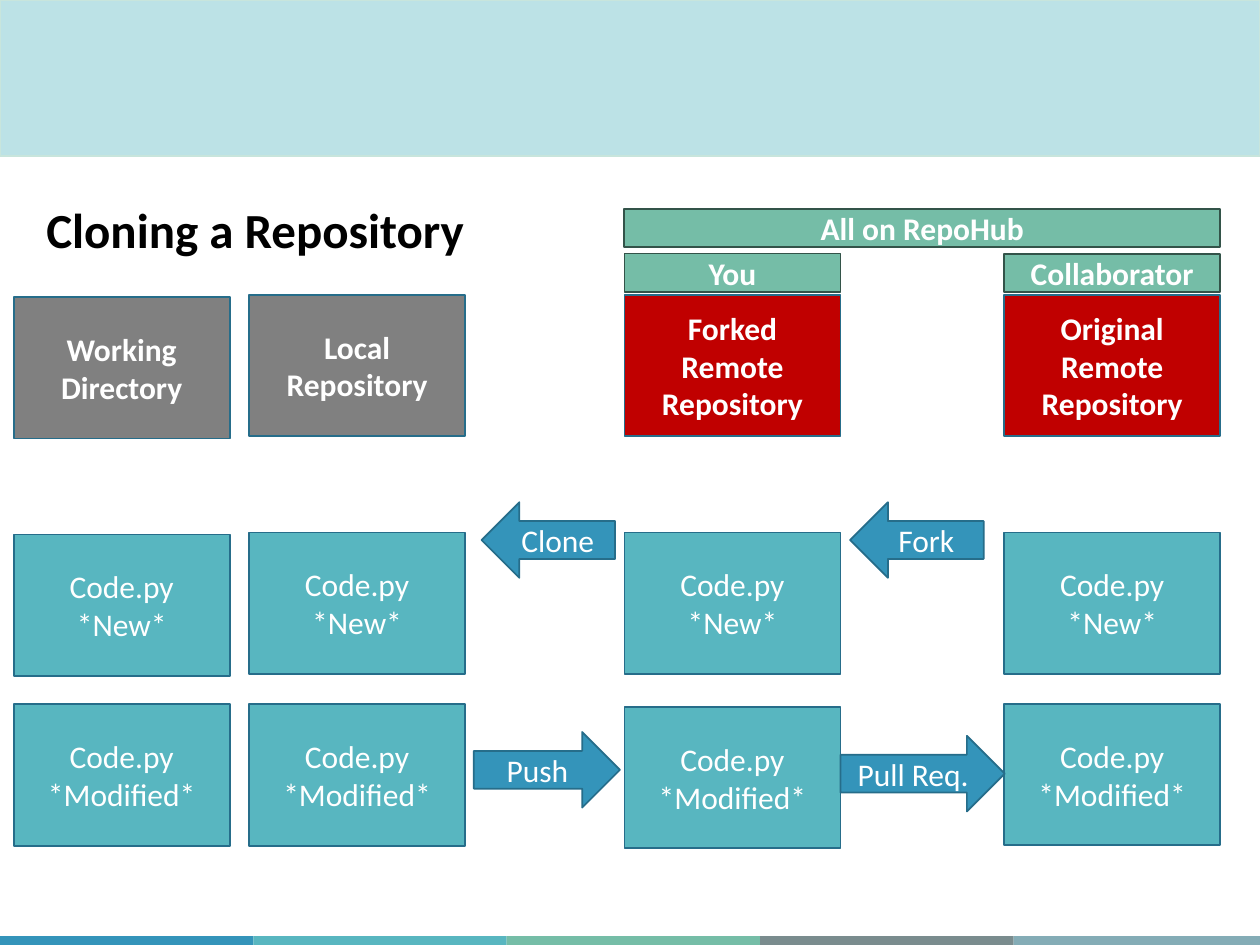
from dataclasses import dataclass

from pptx import Presentation
from pptx.dml.color import RGBColor
from pptx.enum.shapes import MSO_SHAPE
from pptx.enum.text import MSO_ANCHOR, PP_ALIGN
from pptx.util import Pt

RECTANGLE = MSO_SHAPE.RECTANGLE
LEFT_ARROW = MSO_SHAPE.LEFT_ARROW
RIGHT_ARROW = MSO_SHAPE.RIGHT_ARROW
MIDDLE = MSO_ANCHOR.MIDDLE
CENTER = PP_ALIGN.CENTER


@dataclass(frozen=True)
class Theme:
    """Colours, font and type sizes of the deck."""
    font: str = "Calibri"
    title_size: int = 28
    label_size: int = 18
    black: str = "000000"
    white: str = "FFFFFF"
    banner: str = "BCE2E6"
    banner_line: str = "C8E5DC"
    local: str = "808080"
    remote: str = "C00000"
    file: str = "58B6C0"
    arrow: str = "3494BA"
    edge: str = "266D8A"
    owner: str = "75BDA7"
    owner_edge: str = "335349"
    strip: tuple = ("3494BA", "58B6C0", "75BDA7", "7A8C8E", "84ACB6")


THEME = Theme()
BOX_WIDTH, BOX_HEIGHT = 123.5, 80.8
FILE_STATES = ("*New*", "*Modified*")

COLUMNS = (
    (7.8, (169.8, 305.5, 402.5), ("Working", "Directory"), THEME.local),
    (142.3, (168.5, 304.3, 402.5), ("Local Repository",), THEME.local),
    (356.8, (168.5, 304.3, 404), ("Forked Remote Repository",), THEME.remote),
    (573.8, (168.5, 304.3, 402.2), ("Original Remote Repository",), THEME.remote),
)
OWNERS = (
    ("All on RepoHub", (356.8, 119.4, 340.5, 21.8)),
    ("You", (356.8, 144.9, BOX_WIDTH, 21.8)),
    ("Collaborator", (573.8, 145.2, BOX_WIDTH, 21.8)),
)
ACTIONS = (
    ("Clone", LEFT_ARROW, (275.2, 287, 76.3, 43.2)),
    ("Fork", LEFT_ARROW, (485.8, 287, 76.3, 43.2)),
    ("Push", RIGHT_ARROW, (270.8, 418.3, 83.5, 43.2)),
    ("Pull Req.", RIGHT_ARROW, (480.3, 420.5, 93.8, 43.2)),
)


def style_font(para, size, color, bold):
    """Set the font of a whole paragraph."""
    font = para.font
    font.name, font.size, font.bold = THEME.font, Pt(size), bold
    font.color.rgb = RGBColor.from_string(color)


def add_box(page, box, fill, edge=None, lines=(), bold=False, kind=RECTANGLE):
    """Add a filled shape with centred white lines of text."""
    shape = page.shapes.add_shape(kind, *map(Pt, box))
    shape.shadow.inherit = False
    shape.fill.solid()
    shape.fill.fore_color.rgb = RGBColor.from_string(fill)
    if edge:
        shape.line.color.rgb = RGBColor.from_string(edge)
        shape.line.width = Pt(1)
    else:
        shape.line.fill.background()
    frame = shape.text_frame
    frame.word_wrap = True
    frame.vertical_anchor = MIDDLE
    for index, line in enumerate(lines):
        para = frame.add_paragraph() if index else frame.paragraphs[0]
        para.text = line
        para.alignment = CENTER
        style_font(para, THEME.label_size, THEME.white, bold)


def add_strip(page, box):
    """Fill a box with equal coloured segments."""
    left, top, width, height = box
    step = width / len(THEME.strip)
    for index, color in enumerate(THEME.strip):
        add_box(page, (left + index * step, top, step, height), color)


def add_title(page, box, text):
    """Add the heading."""
    frame = page.shapes.add_textbox(*map(Pt, box)).text_frame
    frame.word_wrap = True
    para = frame.paragraphs[0]
    para.text = text
    para.line_spacing = 0.9
    style_font(para, THEME.title_size, THEME.black, True)


def add_column(page, left, tops, heading, color):
    """Add a place's heading and the states of its file below."""
    boxes = [(left, top, BOX_WIDTH, BOX_HEIGHT) for top in tops]
    add_box(page, boxes[0], color, THEME.edge, heading, bold=True)
    for box, state in zip(boxes[1:], FILE_STATES):
        add_box(page, box, THEME.file, THEME.edge, ("Code.py", state))


def build_cloning_page(page):
    """Lay out the repository cloning diagram."""
    add_strip(page, (0, 535, 724, 7.2))
    add_box(page, (0, 0, 720, 89.3), THEME.banner, THEME.banner_line)
    add_title(page, (19.4, 114.5, 681.8, 388), "Cloning a Repository")
    for column in COLUMNS:
        add_column(page, *column)
    for label, box in OWNERS:
        add_box(page, box, THEME.owner, THEME.owner_edge, (label,), bold=True)
    for label, kind, box in ACTIONS:
        add_box(page, box, THEME.arrow, THEME.edge, (label,), kind=kind)


def main():
    """Build and save the deck."""
    deck = Presentation()
    deck.slide_width, deck.slide_height = Pt(720), Pt(540)
    build_cloning_page(deck.slides.add_slide(deck.slide_layouts[6]))
    deck.save("out.pptx")


if __name__ == "__main__":
    main()
